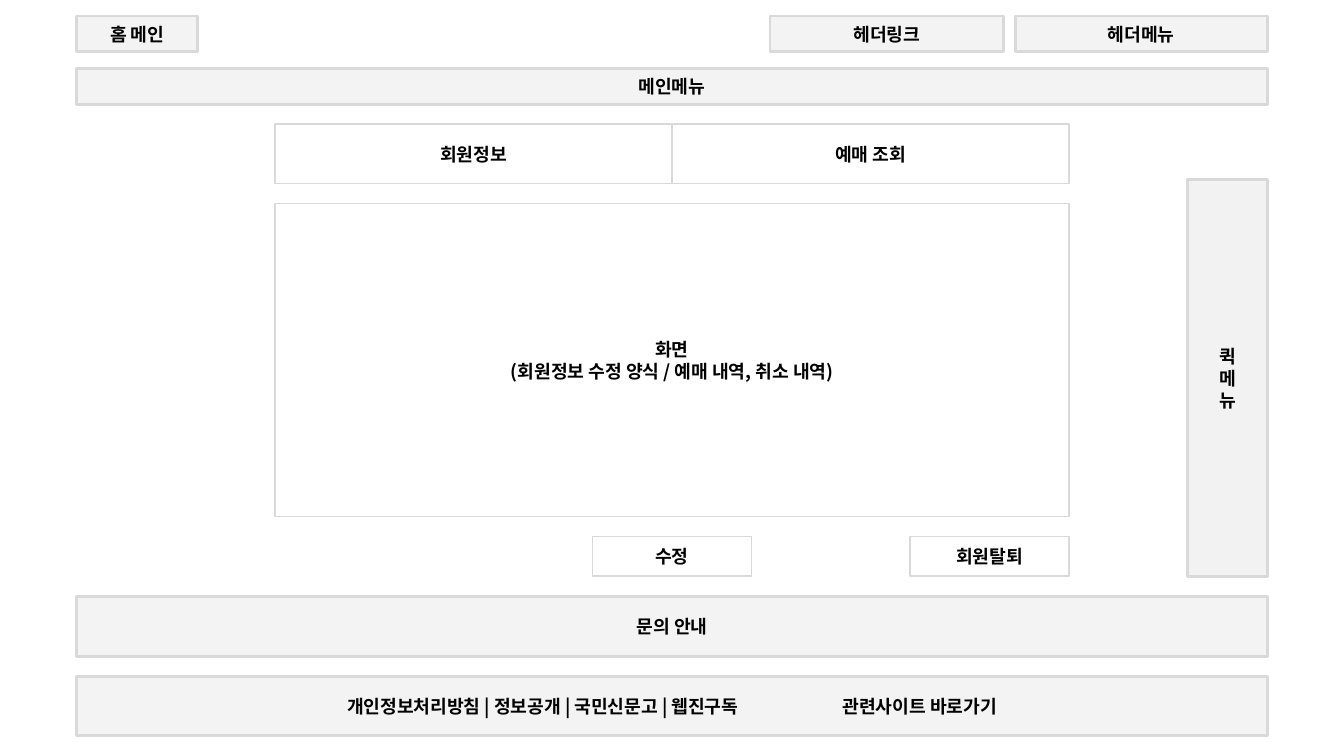
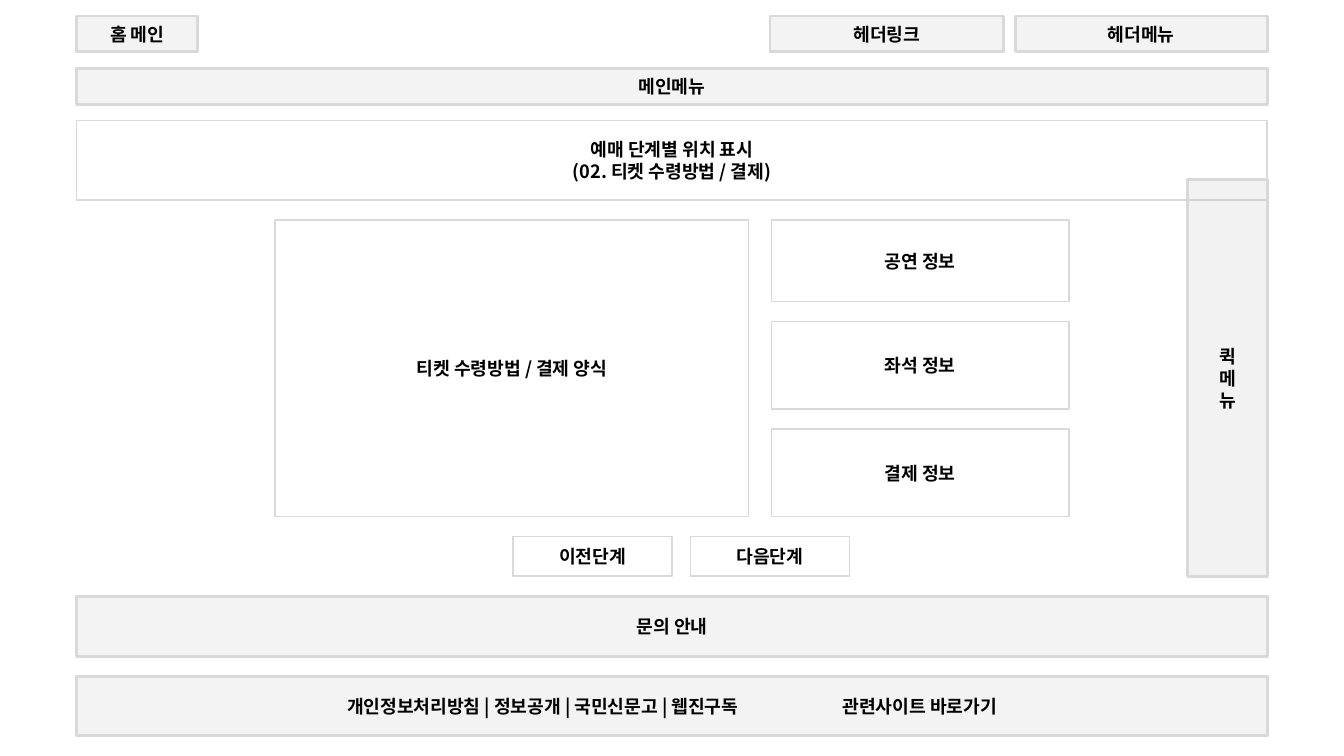
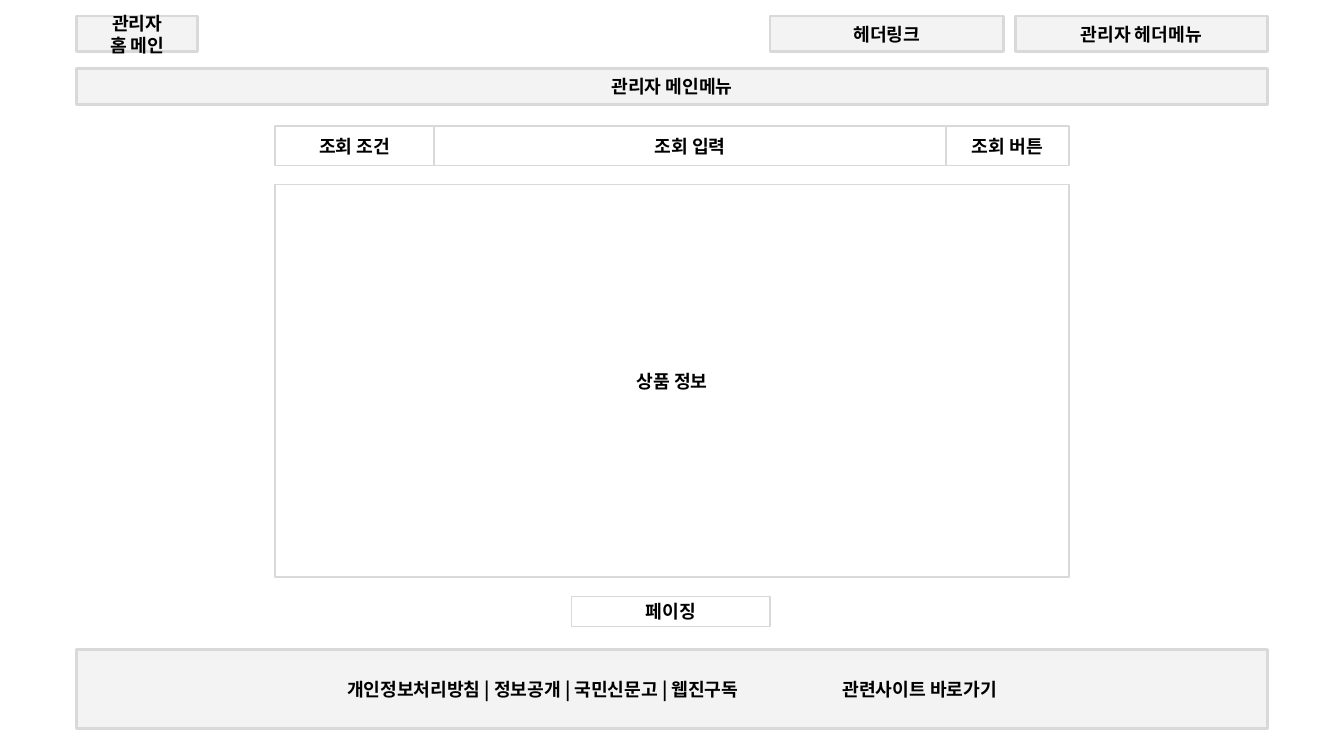
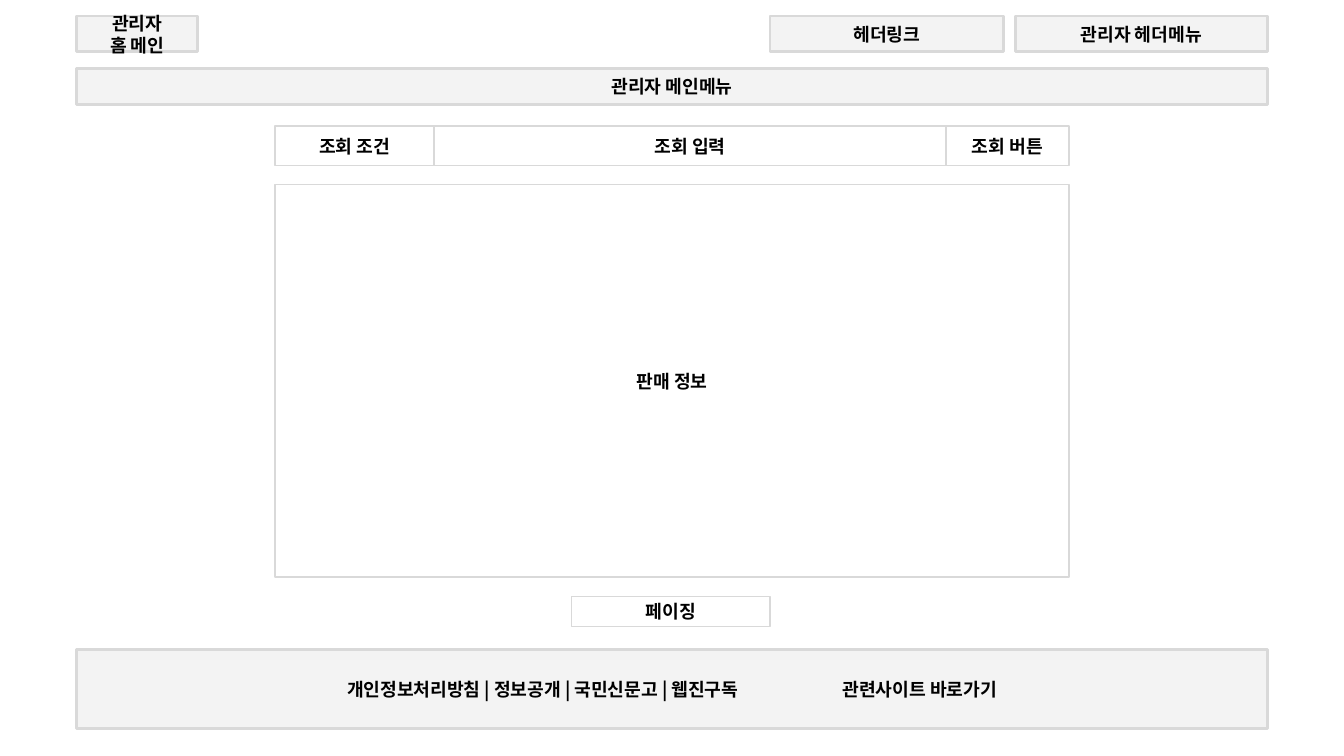
"""Build four wireframe slides of a ticket booking site."""
from dataclasses import dataclass
from typing import Iterable

from lxml.etree import SubElement
from pptx import Presentation
from pptx.dml.color import RGBColor
from pptx.enum.shapes import MSO_SHAPE
from pptx.enum.text import MSO_ANCHOR, PP_ALIGN
from pptx.oxml.ns import qn
from pptx.slide import Slide
from pptx.util import Pt

COLORS = {"white": "FFFFFF", "light": "D9D9D9", "mid": "BFBFBF", "text": "000000"}
FONT = {"name": "Noto Sans CJK KR", "size": Pt(13), "bold": True}
FRAME = {"vertical_anchor": MSO_ANCHOR.MIDDLE, "word_wrap": True}

PAGE_W, PAGE_H = 960, 540
WIDE_W, BODY_W = 850.4, 567
WIDE_X, BODY_X = (PAGE_W - WIDE_W) / 2, (PAGE_W - BODY_W) / 2
WIDE_R, BODY_R = WIDE_X + WIDE_W, BODY_X + BODY_W
HEADER_Y, HEADER_H = 11.5, 25.5
BAND_H, TALL_H = 42.5, 56.7
BTN_W, BTN_H, BTN_Y = 113.4, 28.3, 383.2
BODY_BOTTOM = 369
FOOTER_TAB = 354
FOOTER = "개인정보처리방침 | 정보공개 | 국민신문고 | 웹진구독\t관련사이트 바로가기"


@dataclass(frozen=True)
class Style:
    """Fill colour, opacity in percent and line width of a box."""
    fill: str
    opacity: int
    line: float


PLAIN = Style("white", 100, 1)
SHADED = Style("light", 30, 2)
QUICK = Style("mid", 20, 2)


@dataclass(frozen=True)
class Box:
    """A labelled rectangle; each line of the label is a paragraph."""
    label: str
    x: float
    y: float
    w: float
    h: float
    style: Style = PLAIN


def rgb(name: str) -> RGBColor:
    """Return a colour of the palette."""
    return RGBColor.from_string(COLORS[name])


def draw_box(s: Slide, box: Box) -> None:
    """Draw one box with its label."""
    sp = s.shapes.add_shape(MSO_SHAPE.RECTANGLE, Pt(box.x), Pt(box.y), Pt(box.w), Pt(box.h))
    sp.shadow.inherit = False
    sp.fill.solid()
    sp.fill.fore_color.rgb = rgb(box.style.fill)
    if box.style.opacity < 100:
        color = sp.fill._xPr.find(qn("a:solidFill"))[0]
        SubElement(color, qn("a:alpha"), val=str(box.style.opacity * 1000))
    sp.line.color.rgb = rgb("light")
    sp.line.width = Pt(box.style.line)
    tf = sp.text_frame
    for key, value in FRAME.items():
        setattr(tf, key, value)
    tf.text = box.label
    for p in tf.paragraphs:
        p.alignment = PP_ALIGN.CENTER
        if "\t" in box.label:
            tabs = SubElement(p._p.get_or_add_pPr(), qn("a:tabLst"))
            SubElement(tabs, qn("a:tab"), pos=str(Pt(FOOTER_TAB)), algn="l")
        for r in p.runs:
            for key, value in FONT.items():
                setattr(r.font, key, value)
            r.font.color.rgb = rgb("text")
            SubElement(r._r.get_or_add_rPr(), qn("a:ea"), typeface=FONT["name"])


def row(x: float, y: float, h: float, cells: Iterable[tuple[str, float]], gap: float = 0) -> list[Box]:
    """Place cells of given widths from left to right."""
    boxes = []
    for label, w in cells:
        boxes.append(Box(label, x, y, w, h))
        x += w + gap
    return boxes


def column(x: float, y: float, w: float, cells: Iterable[tuple[str, float]], gap: float) -> list[Box]:
    """Place cells of given heights from top to bottom."""
    boxes = []
    for label, h in cells:
        boxes.append(Box(label, x, y, w, h))
        y += h + gap
    return boxes


def header(home: str, menu: str, main_menu: str) -> list[Box]:
    """Return the boxes at the top of a page."""
    return [
        Box(home, WIDE_X, HEADER_Y, 86.4, HEADER_H, SHADED),
        Box("헤더링크", 550, HEADER_Y, 167, HEADER_H, SHADED),
        Box(menu, WIDE_R - 180, HEADER_Y, 180, HEADER_H, SHADED),
        Box(main_menu, WIDE_X, 49, WIDE_W, HEADER_H, SHADED),
    ]


def footer(y: float, h: float) -> Box:
    """Return the band of links at the bottom of a page."""
    return Box(FOOTER, WIDE_X, y, WIDE_W, h, SHADED)


def member_page(body: list[Box]) -> list[Box]:
    """Wrap a body in the frame of the visitor pages."""
    return [
        *header("홈 메인", "헤더메뉴", "메인메뉴"),
        *body,
        Box("퀵\n메\n뉴", WIDE_R - TALL_H, 128.2, TALL_H, 283.5, QUICK),
        Box("문의 안내", WIDE_X, 426.2, WIDE_W, BAND_H, SHADED),
        footer(483.1, BAND_H),
    ]


def admin_page(content: str) -> list[Box]:
    """Return an administrator page that lists the given content."""
    search = [("조회 조건", BTN_W), ("조회 입력", 365.8), ("조회 버튼", 87.8)]
    return [
        *header("관리자\n홈 메인", "관리자 헤더메뉴", "관리자 메인메뉴"),
        *row(BODY_X, 90, BTN_H, search),
        Box(content, BODY_X, 131.8, BODY_W, 280.5),
        Box("페이징", 408.2, 426.2, 141.8, 21.2),
        footer(463.7, TALL_H),
    ]


def account_body() -> list[Box]:
    """Return the body of the member account page."""
    top = 145.4
    return [
        *row(BODY_X, 88.6, BAND_H, [("회원정보", BODY_W / 2), ("예매 조회", BODY_W / 2)]),
        Box("화면\n(회원정보 수정 양식 / 예매 내역, 취소 내역)", BODY_X, top, BODY_W, BODY_BOTTOM - top),
        Box("수정", (PAGE_W - BTN_W) / 2, BTN_Y, BTN_W, BTN_H),
        Box("회원탈퇴", BODY_R - BTN_W, BTN_Y, BTN_W, BTN_H),
    ]


def payment_body() -> list[Box]:
    """Return the body of the ticket payment page."""
    top, side_w = 157.1, 212.6
    details = [("공연 정보", 58.3), ("좌석 정보", 62.5), ("결제 정보", 62.5)]
    return [
        Box("예매 단계별 위치 표시\n(02. 티켓 수령방법 / 결제)", WIDE_X, 86.3, WIDE_W, TALL_H),
        Box("티켓 수령방법 / 결제 양식", BODY_X, top, 338.4, BODY_BOTTOM - top),
        *column(BODY_R - side_w, top, side_w, details, 14.3),
        *row(366.5, BTN_Y, BTN_H, [("이전단계", BTN_W), ("다음단계", BTN_W)], 13.3),
    ]


def main() -> None:
    """Draw every page and save the deck."""
    prs = Presentation()
    prs.slide_width, prs.slide_height = Pt(PAGE_W), Pt(PAGE_H)
    pages = [
        member_page(account_body()),
        member_page(payment_body()),
        admin_page("상품 정보"),
        admin_page("판매 정보"),
    ]
    for boxes in pages:
        s = prs.slides.add_slide(prs.slide_layouts[6])
        for box in boxes:
            draw_box(s, box)
    prs.save("out.pptx")


if __name__ == "__main__":
    main()
